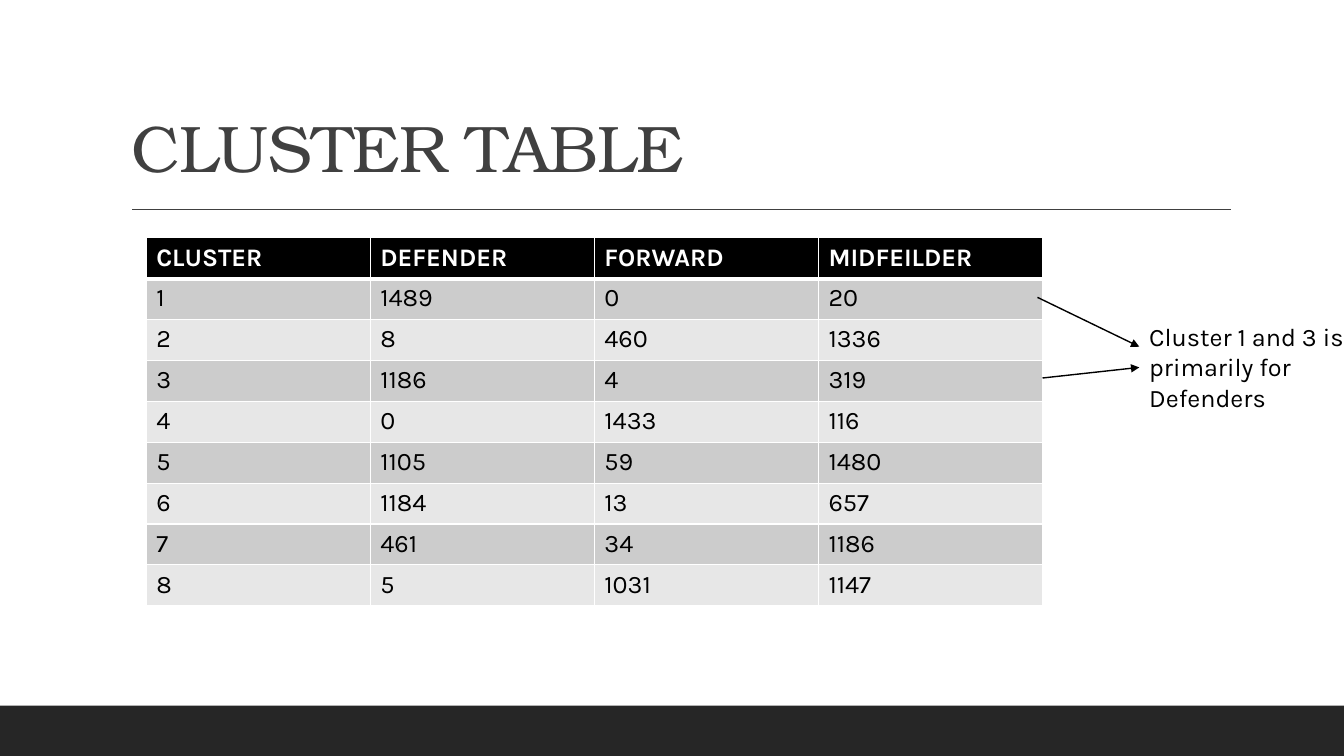
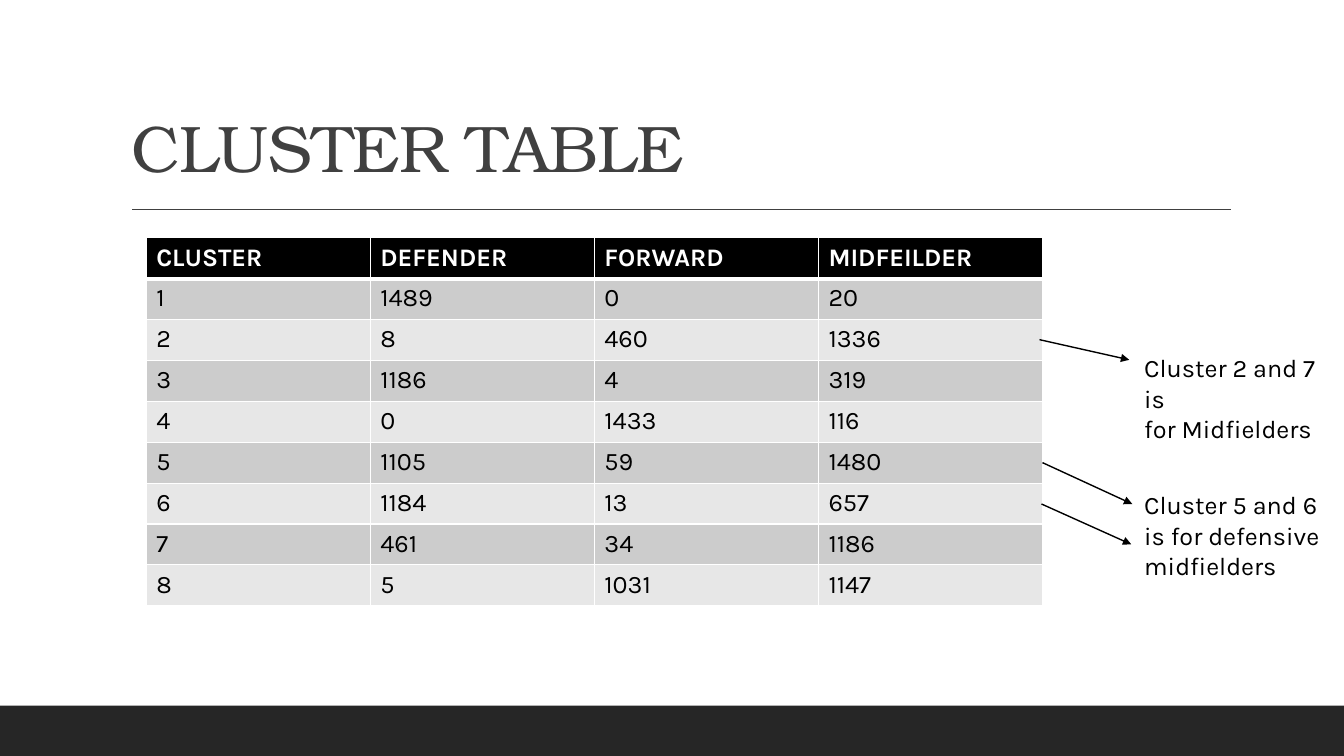
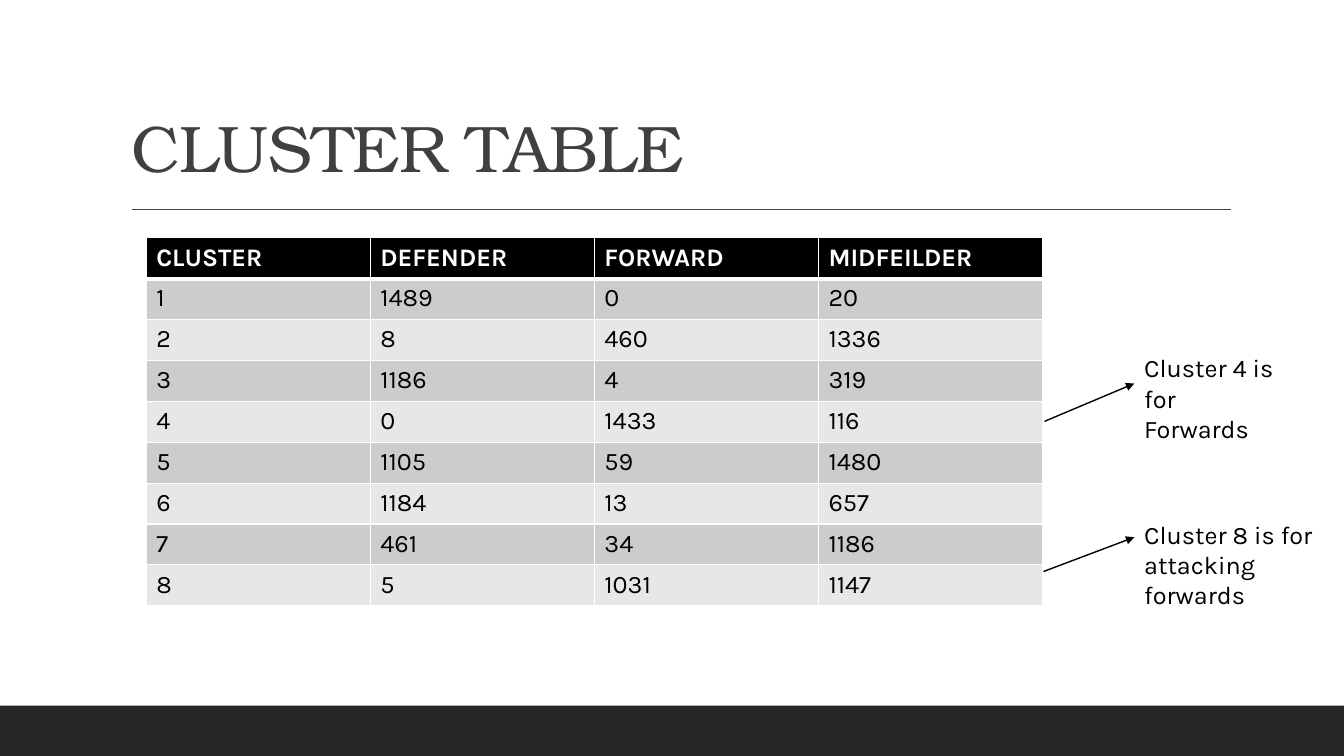
from lxml import etree
from pptx import Presentation
from pptx.dml.color import RGBColor
from pptx.enum.shapes import MSO_CONNECTOR, MSO_SHAPE
from pptx.enum.text import MSO_ANCHOR, MSO_AUTO_SIZE, PP_ALIGN
from pptx.oxml.ns import qn
from pptx.util import Inches, Pt

BLACK, WHITE, CHARCOAL, GREY = "000000", "FFFFFF", "262626", "404040"
ROW_FILLS = ["CCCCCC", "E7E7E7"]
TITLE_FONT, BODY_FONT = "TeX Gyre Bonum", "Karla"

CLUSTER_ROWS = [
    ("CLUSTER", "DEFENDER", "FORWARD", "MIDFEILDER"),
    (1, 1489, 0, 20),
    (2, 8, 460, 1336),
    (3, 1186, 4, 319),
    (4, 0, 1433, 116),
    (5, 1105, 59, 1480),
    (6, 1184, 13, 657),
    (7, 461, 34, 1186),
    (8, 5, 1031, 1147),
]

# Per slide: callouts as (text, box, arrows); an arrow ending in None joins the box
SLIDE_CALLOUTS = [
    [("Cluster 1 and 3 is primarily for Defenders", (11.3, 3.14, 2.13, 1.01),
      [((10.29, 2.95), (11.3, 3.44)), ((10.34, 3.75), None)])],
    [("Cluster 5 and 6 is for defensive midfielders", (11.25, 4.81, 2.13, 1.01),
      [((10.34, 4.59), (11.23, 5)), ((10.33, 5), (11.22, 5.4))]),
     ("Cluster 2 and 7 is\nfor Midfielders", (11.25, 3.45, 2, 0.71),
      [((10.31, 3.37), (11.2, 3.57))])],
    [("Cluster 8 is for attacking forwards", (11.25, 5.1, 2.13, 1.01),
      [((10.35, 5.67), (11.25, 5.33))]),
     ("Cluster 4 is\nfor Forwards", (11.25, 3.45, 1.52, 0.71),
      [((10.36, 4.18), None)])],
]


def color(hex_string):
    return RGBColor.from_string(hex_string)


def add_line(slide, start, end, line_color):
    line = slide.shapes.add_connector(
        MSO_CONNECTOR.STRAIGHT, *[Inches(v) for v in (*start, *end)])
    line.line.color.rgb = color(line_color)
    line.line.width = Pt(1)
    etree.SubElement(line.element.spPr, qn("a:effectLst"))
    return line


prs = Presentation()
prs.slide_width, prs.slide_height = Inches(13.33), Inches(7.5)
title_only = prs.slide_layouts[5]
slides = [prs.slides.add_slide(title_only) for _ in SLIDE_CALLOUTS]

# Bottom band and title rule, moved to the shared layout
band = slides[0].shapes.add_shape(
    MSO_SHAPE.RECTANGLE, 0, Inches(7), prs.slide_width, Inches(0.5))
band.shadow.inherit = False
band.fill.solid()
band.fill.fore_color.rgb = color(CHARCOAL)
band.line.fill.background()
title_rule = add_line(slides[0], (1.31, 2.08), (12.21, 2.08), GREY)
for decoration in (band, title_rule):
    title_only.shapes.element.append(decoration.element)

for slide, callouts in zip(slides, SLIDE_CALLOUTS):
    # Title
    title = slide.shapes.title
    title.left, title.top = Inches(1.2), Inches(0.31)
    title.width, title.height = Inches(11), Inches(1.59)
    title.text_frame.text = "CLUSTER TABLE"
    title.text_frame.auto_size = MSO_AUTO_SIZE.NONE
    title.text_frame.vertical_anchor = MSO_ANCHOR.BOTTOM
    heading = title.text_frame.paragraphs[0]
    heading.alignment = PP_ALIGN.LEFT
    heading.line_spacing = 0.9
    heading_font = heading.runs[0].font
    heading_font.name, heading_font.size = TITLE_FONT, Pt(47)
    heading_font.color.rgb = color(GREY)
    heading.runs[0].font._element.set("spc", "-50")

    # Cluster table
    clusters = slide.shapes.add_table(
        len(CLUSTER_ROWS), len(CLUSTER_ROWS[0]),
        Inches(1.45), Inches(2.36), Inches(8.89), Inches(3.65)).table
    for r, values in enumerate(CLUSTER_ROWS):
        is_header = r == 0
        for c, value in enumerate(values):
            cell = clusters.cell(r, c)
            cell.text_frame.text = str(value)
            font = cell.text_frame.paragraphs[0].runs[0].font
            font.name, font.size, font.bold = BODY_FONT, Pt(18), is_header
            font.color.rgb = color(WHITE if is_header else BLACK)

            # White borders, thicker below the header
            borders = {"L": 1, "R": 1, "T": 3 if r == 1 else 1, "B": 3 if is_header else 1}
            cell_properties = cell._tc.get_or_add_tcPr()
            for side, points in borders.items():
                border = etree.SubElement(cell_properties, qn(f"a:ln{side}"), w=str(Pt(points)))
                border_fill = etree.SubElement(border, qn("a:solidFill"))
                etree.SubElement(border_fill, qn("a:srgbClr"), val=WHITE)
            cell.fill.solid()
            cell.fill.fore_color.rgb = color(BLACK if is_header else ROW_FILLS[(r - 1) % 2])

    # Callouts with their arrows
    for text, (left, top, width, height), arrows in callouts:
        callout = slide.shapes.add_textbox(*[Inches(v) for v in (left, top, width, height)])
        callout.text_frame.word_wrap = True
        callout.text_frame.text = text
        for paragraph in callout.text_frame.paragraphs:
            font = paragraph.runs[0].font
            font.name, font.size = BODY_FONT, Pt(18)
            font.color.rgb = color(BLACK)
        for start, end in arrows:
            arrow = add_line(slide, start, end or (left, top + height / 2), BLACK)
            if end is None:
                arrow.end_connect(callout, 1)
            etree.SubElement(arrow.line._get_or_add_ln(), qn("a:tailEnd"), type="triangle")

prs.save("out.pptx")
